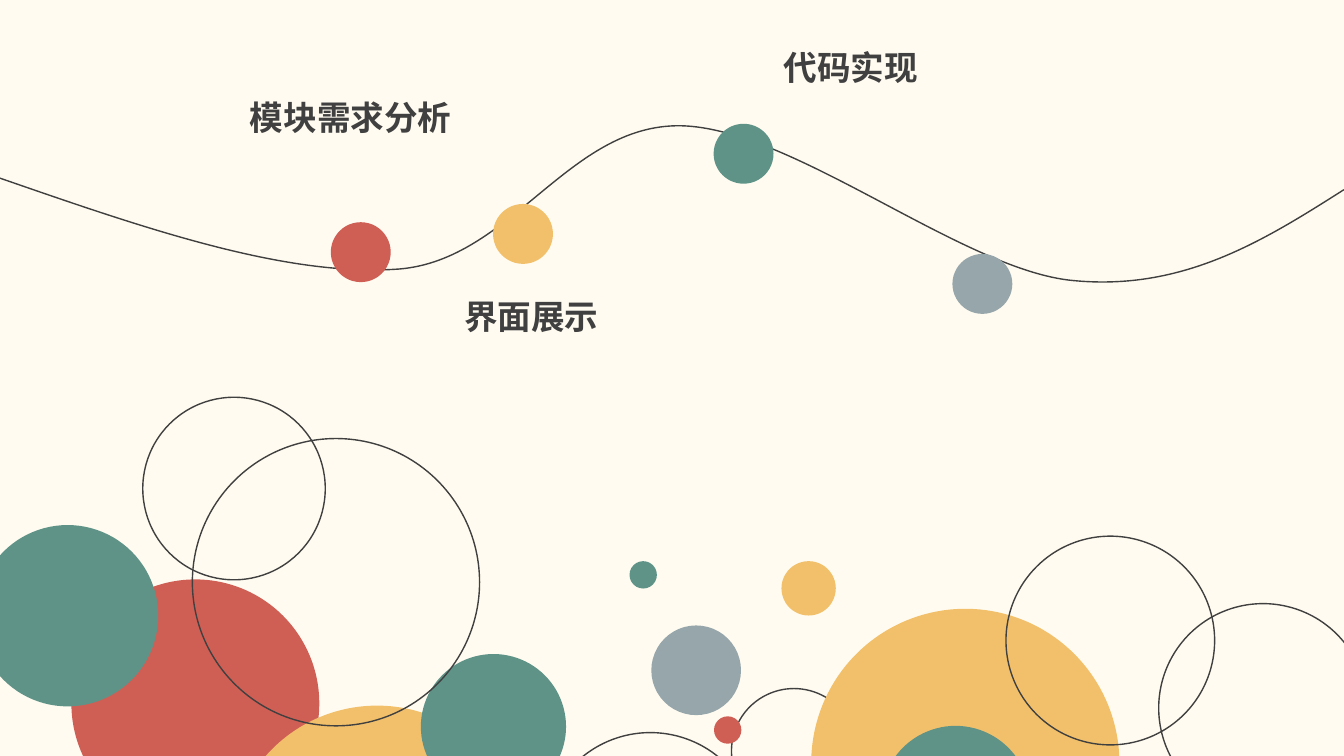
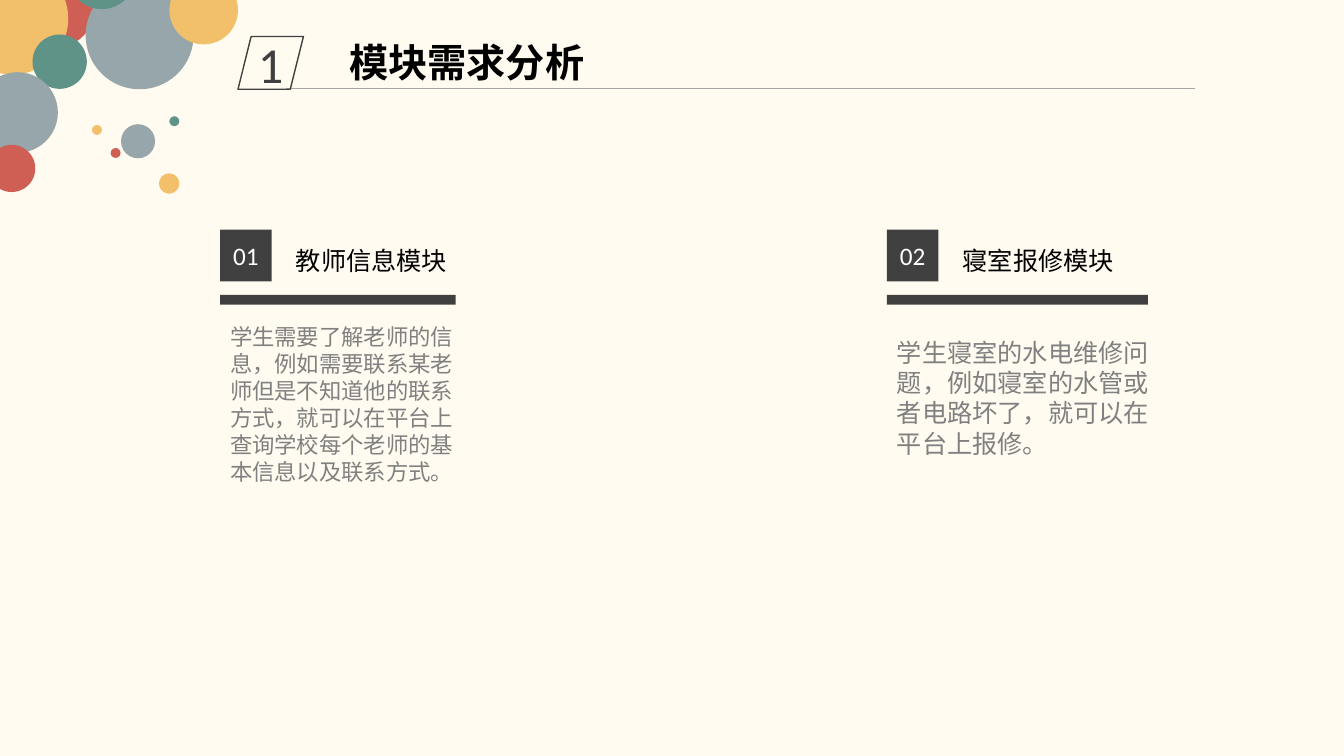
import pptx
import pptx.util
import pptx.dml.color
import pptx.enum.shapes
import pptx.enum.text
import pptx.oxml.ns
from lxml import etree

Cm, Pt = pptx.util.Cm, pptx.util.Pt
KIND = pptx.enum.shapes.MSO_SHAPE
qn = pptx.oxml.ns.qn

# Shared look
WIDE, HIGH = 33.88, 19.05
CREAM, DARK, WHITE, BLACK = "FFFBF0", "404040", "FFFFFF", "000000"
RED, GOLD, TEAL, SLATE = "CF5F55", "F2C06B", "5F9387", "97A6AB"
BODY, RULE = "808080", "A6A6A6"
FACE, BOLD, SANS = "Calibri", "Noto Sans CJK SC", "Arial"


def paint(part, tone):
    """Give a fill, line or font colour object a solid hex colour."""
    part.rgb = pptx.dml.color.RGBColor.from_string(tone)


def style(item, fill=None, line=None):
    item.shadow.inherit = False
    if fill:
        item.fill.solid()
        paint(item.fill.fore_color, fill)
    else:
        item.fill.background()
    if line:
        paint(item.line.color, line)
        item.line.width = Pt(1)
    else:
        item.line.fill.background()


def shape(host, kind, x, y, w, h, fill=None, line=None):
    item = host.shapes.add_shape(kind, Cm(x), Cm(y), Cm(w), Cm(h))
    style(item, fill, line)
    return item


def write(frame, text, size, tone, face=FACE, bold=False):
    para = frame.paragraphs[0]
    para.text = text
    font = para.font
    font.size, font.bold, font.name = Pt(size), bold, face
    paint(font.color, tone)
    # East Asian text takes its line height from this face
    base = para._p.pPr.find(qn("a:defRPr"))
    etree.SubElement(base, qn("a:ea")).set("typeface", FACE)
    return para


def label(slide, x, y, w, h, text, size, tone, face=FACE, bold=False):
    frame = slide.shapes.add_textbox(Cm(x), Cm(y), Cm(w), Cm(h)).text_frame
    frame.word_wrap = True
    frame.auto_size = pptx.enum.text.MSO_AUTO_SIZE.SHAPE_TO_FIT_TEXT
    write(frame, text, size, tone, face, bold)


def badge(slide, kind, x, y, w, h, text, size, tone, fill=None, line=None):
    """A shape with centred text and no insets."""
    frame = shape(slide, kind, x, y, w, h, fill, line).text_frame
    frame.margin_left = frame.margin_right = 0
    frame.margin_top = frame.margin_bottom = 0
    frame.vertical_anchor = pptx.enum.text.MSO_ANCHOR.MIDDLE
    frame.word_wrap = False
    para = write(frame, text, size, tone)
    para.alignment = pptx.enum.text.PP_ALIGN.CENTER


def discs(host, left, top, rows, turn=0):
    """Circles as (x, y, size, fill); no fill means an outline."""
    for x, y, d, fill in rows:
        line = None if fill else DARK
        item = shape(host, KIND.OVAL, left + x, top + y, d, d, fill, line)
        item.rotation = turn


def wave(slide, left, top, knots):
    """A line through cubic curves: a start, then three points per curve."""
    spots = [(Cm(left + x), Cm(top + y)) for x, y in knots]
    ends = spots[::3]
    pen = slide.shapes.build_freeform(*ends[0])
    pen.add_line_segments(ends[1:], close=False)
    item = pen.convert_to_shape()
    style(item, line=DARK)
    # Turn each straight step into a curve
    for i, step in enumerate(list(item._element.iter(qn("a:lnTo")))):
        bend = etree.Element(qn("a:cubicBezTo"))
        for x, y in spots[3 * i + 1:3 * i + 4]:
            dot = etree.SubElement(bend, qn("a:pt"))
            dot.set("x", str(x - item.left))
            dot.set("y", str(y - item.top))
        step.getparent().replace(step, bend)


# Slide 1: contents along a wave
BUBBLES = [
    (1.8, 4.6, 6.25, RED), (5.77, 7.78, 7.47, GOLD),
    (10.61, 6.48, 3.66, TEAL), (13.69, 8.46, 5.41, None),
    (4.85, 1.05, 7.24, None), (-0.58, 3.23, 4.57, TEAL),
    (18.44, 7.35, 3.15, None), (20.45, 5.34, 7.77, GOLD),
    (22.21, 8.29, 3.76, TEAL), (25.36, 3.51, 5.26, None),
    (29.21, 5.21, 5.26, None), (16.42, 5.76, 2.26, SLATE),
    (18, 8.05, 0.69, RED), (15.87, 4.14, 0.69, TEAL),
    (19.7, 4.14, 1.37, GOLD), (3.6, 0.01, 4.6, None),
]
CURVE = [
    (0, 4.49), (3.61, 5.74), (7.19, 6.99), (10.06, 6.78),
    (12.9, 6.55), (14.33, 3.12), (17.17, 3.17),
    (19.99, 3.23), (24.26, 6.81), (27.05, 7.07),
    (29.82, 7.34), (31.85, 6.07), (WIDE, 4.78),
]
STOPS = [(8.34, 5.6, 1.51, RED), (12.43, 5.14, 1.51, GOLD),
         (17.99, 3.12, 1.51, TEAL), (24.01, 6.4, 1.51, SLATE)]
TOPICS = [(6.05, 2.31, "模块需求分析"), (11.45, 7.32, "界面展示"),
          (19.51, 1.05, "代码实现")]


def agenda(slide):
    discs(slide, 0, 10, BUBBLES, 270)
    wave(slide, 0, 0, CURVE)
    discs(slide, 0, 0, STOPS)
    for x, y, text in TOPICS:
        label(slide, x, y, 7.9, 1.27, text, 24, DARK, BOLD, True)


# Slide 2: two modules
CORNER = [
    (0.1, -1.12, 2.36, RED), (-1.1, -0.94, 2.82, GOLD),
    (0.82, 0.87, 1.37, TEAL), (-0.57, 1.82, 2.03, SLATE),
    (2.16, -0.47, 2.72, SLATE), (1.7, -1.5, 1.73, TEAL),
    (-0.3, 3.65, 1.19, RED), (3.05, 3.13, 0.86, SLATE),
    (2.79, 3.73, 0.25, RED), (2.32, 3.15, 0.25, GOLD),
    (4.27, 2.93, 0.25, TEAL), (4.01, 4.37, 0.51, GOLD),
    (4.27, -0.61, 1.73, GOLD),
]
UNITS = [
    # left, bar width, body drop, width, height, size, face, heading, body
    (5.55, 5.94, 2.24, 6.25, 4.37, 16, SANS, "教师信息模块",
     "学生需要了解老师的信息，例如需要联系某老师但是不知道他的联系方式，"
     "就可以在平台上查询学校每个老师的基本信息以及联系方式。"),
    (22.36, 6.58, 2.58, 7.04, 3.33, 18, FACE, "寝室报修模块",
     "学生寝室的水电维修问题，例如寝室的水管或者电路坏了，"
     "就可以在平台上报修。"),
]


def header(slide, x, y, num, text):
    rule = slide.shapes.add_connector(
        pptx.enum.shapes.MSO_CONNECTOR.STRAIGHT,
        Cm(x + 1.22), Cm(y + 1.31), Cm(x + 24.12), Cm(y + 1.31))
    paint(rule.line.color, RULE)
    rule.line.width = Pt(0.5)
    etree.SubElement(rule._element.spPr, qn("a:effectLst"))
    badge(slide, KIND.PARALLELOGRAM, x, y, 1.65, 1.33, num, 36, DARK,
          line=DARK)
    label(slide, x + 2.56, y - 0.08, 12.52, 2.64, text, 28, BLACK, SANS, True)


def column(slide, x, y, num, bar, drop, w, h, size, face, head, body):
    label(slide, x, y + drop, w, h, body, size, BODY, face)
    shape(slide, KIND.RECTANGLE, x, y + 1.64, bar, 0.25, DARK)
    badge(slide, KIND.RECTANGLE, x, y, 1.3, 1.3, num, 18, WHITE, DARK)
    label(slide, x + 1.66, y + 0.26, 4.65, 1.02, head, 18, BLACK)


def detail(slide):
    for i, (x, *rest) in enumerate(UNITS, 1):
        column(slide, x, 5.79, f"{i:02}", *rest)
    discs(slide.shapes.add_group_shape(), 0, 0, CORNER)
    header(slide, 6, 0.92, "1", "模块需求分析")


def main():
    deck = pptx.Presentation()
    deck.slide_width, deck.slide_height = Cm(WIDE), Cm(HIGH)
    back = deck.slide_master.background.fill
    back.solid()
    paint(back.fore_color, CREAM)
    for build in (agenda, detail):
        build(deck.slides.add_slide(deck.slide_layouts[6]))
    deck.save("out.pptx")


if __name__ == "__main__":
    main()
